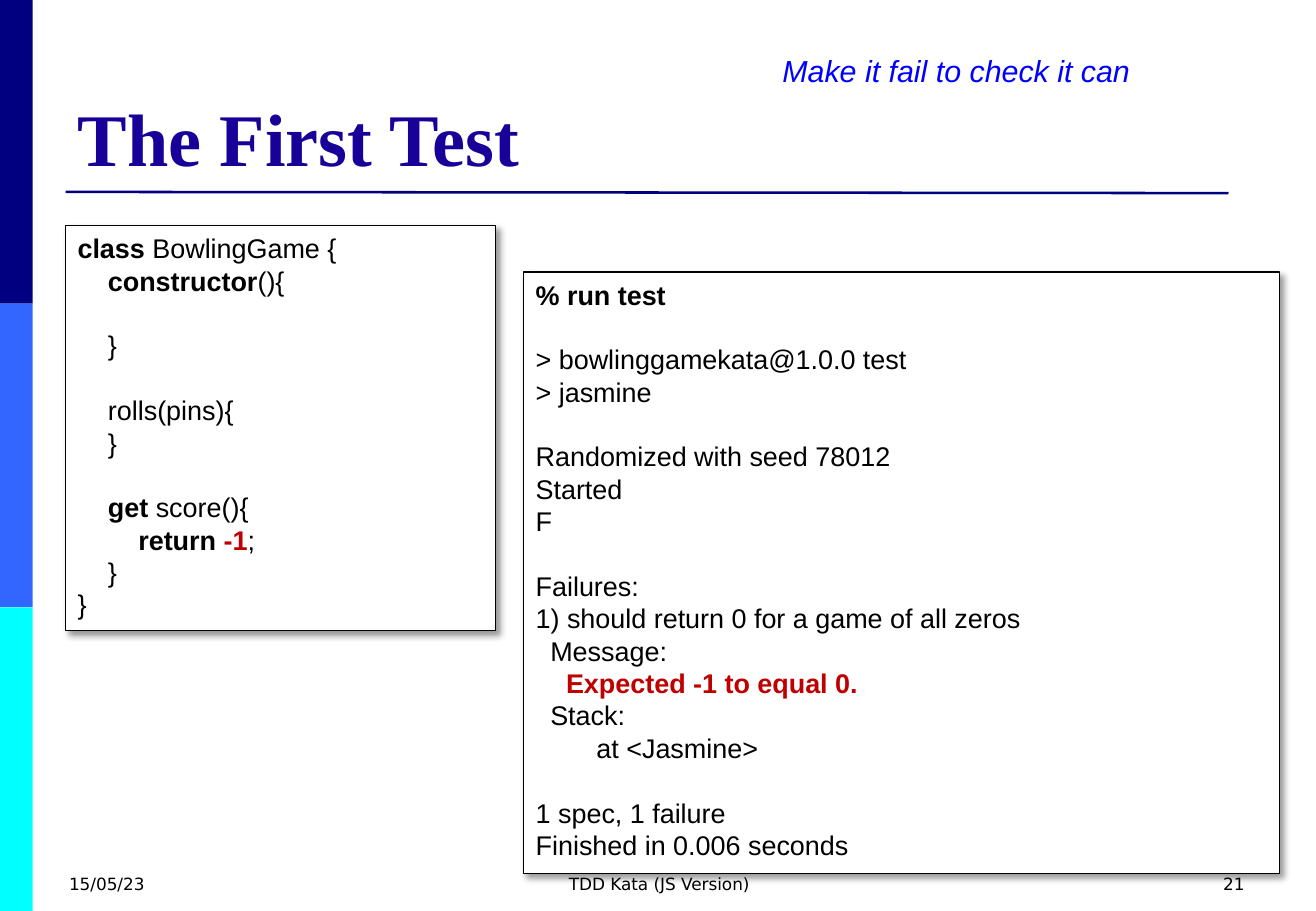
from dataclasses import dataclass

from lxml.etree import SubElement
from pptx import Presentation
from pptx.dml.color import RGBColor
from pptx.enum.shapes import MSO_CONNECTOR as Connector, MSO_SHAPE as Shape
from pptx.enum.text import MSO_ANCHOR as Anchor, PP_ALIGN as Align
from pptx.oxml.ns import qn
from pptx.util import Pt

PX = 9144  # EMU in one px, 100 px to the inch
WIDTH, HEIGHT = 1083, 750


@dataclass(frozen=True)
class Theme:
    navy: str = "000080"
    blue: str = "3366FF"
    cyan: str = "00FFFF"
    title: str = "170199"
    remark: str = "0000FF"
    ink: str = "000000"
    paper: str = "FFFFFF"
    alert: str = "C00000"
    serif: str = "Times New Roman"
    sans: str = "Arial"
    small: str = "DejaVu Sans"
    title_size: int = 44
    remark_size: int = 18
    code_size: int = 16
    footer_size: int = 10
    code_leading: float = 19.2


THEME = Theme()
BOLD = {"bold": True}
ALERT = {"bold": True, "color": THEME.alert}

# Each line: blank lines above, columns of indent, spans of (text, format)
CLASS_CODE = [
    (0, 0, [("class ", BOLD), ("BowlingGame {", {})]),
    (0, 4, [("constructor", BOLD), ("(){", {})]),
    (1, 4, [("}", {})]),
    (1, 4, [("rolls(pins){", {})]),
    (0, 4, [("}", {})]),
    (1, 4, [("get", BOLD), (" score(){", {})]),
    (0, 8, [("return ", BOLD), ("-1", ALERT), (";", {})]),
    (0, 4, [("}", {})]),
    (0, 0, [("}", {})]),
]
TEST_OUTPUT = [
    (0, 0, [("% run test", BOLD)]),
    (1, 0, [("> bowlinggamekata@1.0.0 test", {})]),
    (0, 0, [("> jasmine", {})]),
    (1, 0, [("Randomized with seed 78012", {})]),
    (0, 0, [("Started", {})]),
    (0, 0, [("F", {})]),
    (1, 0, [("Failures:", {})]),
    (0, 0, [("1) should return 0 for a game of all zeros", {})]),
    (0, 2, [("Message:", {})]),
    (0, 4, [("Expected -1 to equal 0.", ALERT)]),
    (0, 2, [("Stack:", {})]),
    (0, 8, [("at <Jasmine>", {})]),
    (1, 0, [("1 spec, 1 failure", {})]),
    (0, 0, [("Finished in 0.006 seconds", {})]),
]


def emu(*lengths):
    return [length * PX for length in lengths]


def add_span(para, text, font=THEME.sans, size=THEME.code_size,
             color=THEME.ink, bold=False, italic=False):
    span = para.add_run()
    span.text = text
    span.font.name = font
    span.font.size = Pt(size)
    span.font.color.rgb = RGBColor.from_string(color)
    span.font.bold = bold
    span.font.italic = italic


def add_label(page, area, text, align=Align.LEFT, anchor=Anchor.TOP,
              wrap=True, **style):
    frame = page.shapes.add_textbox(*emu(*area)).text_frame
    frame.word_wrap = wrap
    frame.vertical_anchor = anchor
    para = frame.paragraphs[0]
    para.alignment = align
    add_span(para, text, **style)


def add_box(page, area, fill):
    box = page.shapes.add_shape(Shape.RECTANGLE, *emu(*area))
    box.shadow.inherit = False
    box.fill.solid()
    box.fill.fore_color.rgb = RGBColor.from_string(fill)
    box.line.fill.background()
    return box


def add_rule(page, ends, color, width):
    rule = page.shapes.add_connector(Connector.STRAIGHT, *emu(*ends))
    rule.line.color.rgb = RGBColor.from_string(color)
    rule.line.width = Pt(width)
    SubElement(rule._element.spPr, qn("a:effectLst"))


def add_shadow(box, color):
    effects = box._element.spPr.find(qn("a:effectLst"))
    shadow = SubElement(effects, qn("a:outerShdw"), blurRad=str(Pt(4)),
                        dist=str(Pt(3)), dir=str(45 * 60000),
                        algn="tl", rotWithShape="0")
    tint = SubElement(shadow, qn("a:srgbClr"), val=color)
    SubElement(tint, qn("a:alpha"), val="40000")


def add_listing(page, area, lines):
    box = add_box(page, area, THEME.paper)
    box.line.color.rgb = RGBColor.from_string(THEME.ink)
    box.line.width = Pt(0.75)
    add_shadow(box, THEME.ink)
    frame = box.text_frame
    frame.word_wrap = True
    frame.vertical_anchor = Anchor.TOP
    for index, (gap, columns, spans) in enumerate(lines):
        para = frame.add_paragraph() if index else frame.paragraphs[0]
        para.alignment = Align.LEFT
        para.line_spacing = Pt(THEME.code_leading)
        para.space_before = Pt(gap * THEME.code_leading)
        indent = columns * 25 // 4 * PX  # four columns are 25 px
        para._p.get_or_add_pPr().set("marL", str(indent))
        for text, style in spans:
            add_span(para, text, **style)


def main():
    deck = Presentation()
    deck.slide_width, deck.slide_height = emu(WIDTH, HEIGHT)
    page = deck.slides.add_slide(deck.slide_layouts[6])

    # Side band and title rule
    band = HEIGHT // 3
    for row, color in enumerate((THEME.navy, THEME.blue, THEME.cyan)):
        add_box(page, (0, row * band, 27, band), color)
    add_rule(page, (54, 158, 1011, 159), THEME.navy, 1.5)

    # Title
    add_label(page, (54, 30, 975, 124), "The First Test", anchor=Anchor.BOTTOM,
              font=THEME.serif, size=THEME.title_size, color=THEME.title,
              bold=True)

    # Footer
    for left, width, text, align in (
            (47, 253, "15/05/23", Align.LEFT),
            (371, 343, "TDD Kata (JS Version)", Align.CENTER),
            (781, 253, "21", Align.RIGHT)):
        add_label(page, (left, 714, width, 36), text, align=align,
                  font=THEME.small, size=THEME.footer_size)

    # Remark
    add_label(page, (634, 38, 309, 40), "Make it fail to check it can",
              wrap=False, size=THEME.remark_size, color=THEME.remark,
              italic=True)

    # Test output and code
    add_listing(page, (431, 224, 622, 495), TEST_OUTPUT)
    add_listing(page, (54, 186, 354, 333), CLASS_CODE)

    deck.save("out.pptx")


if __name__ == "__main__":
    main()
